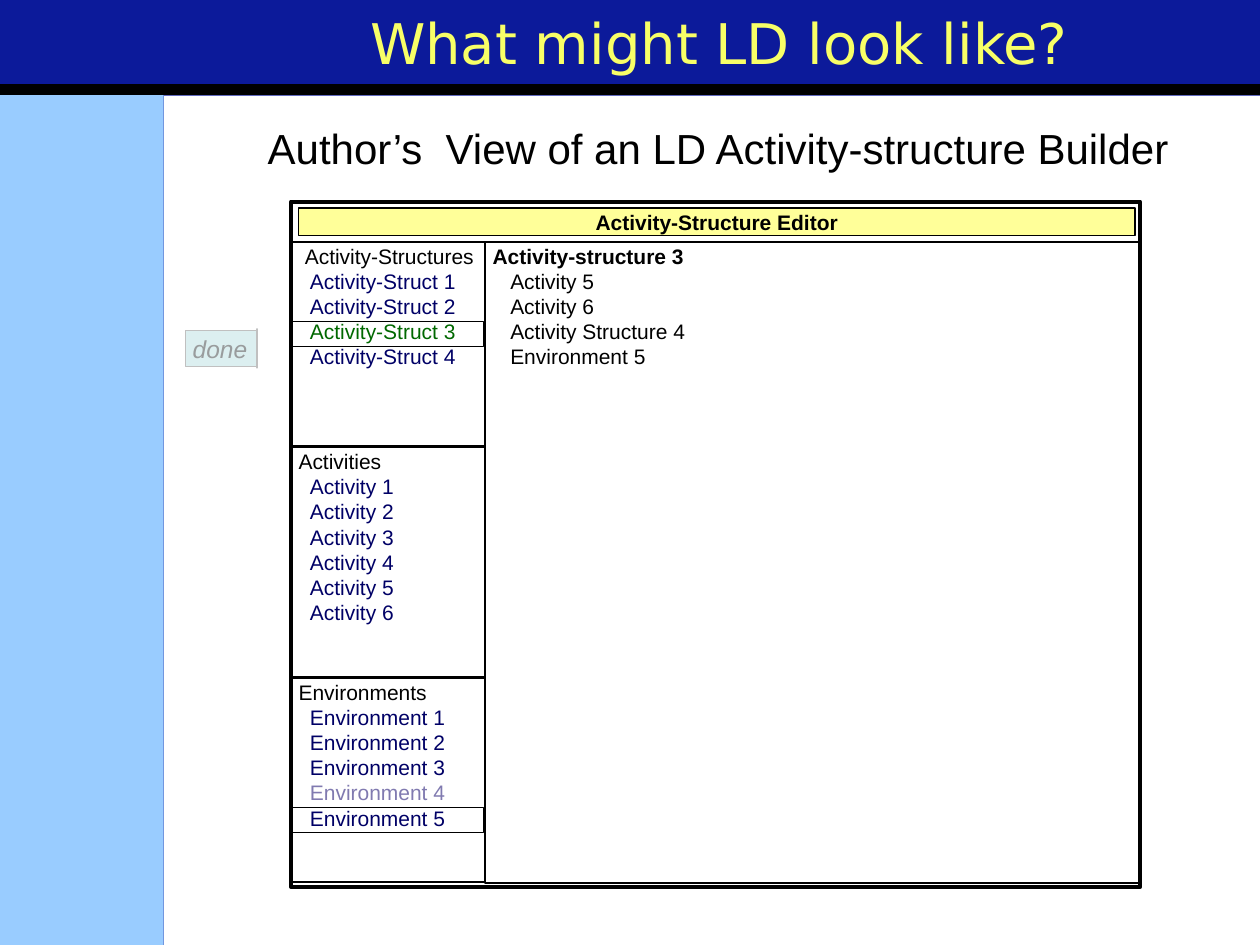
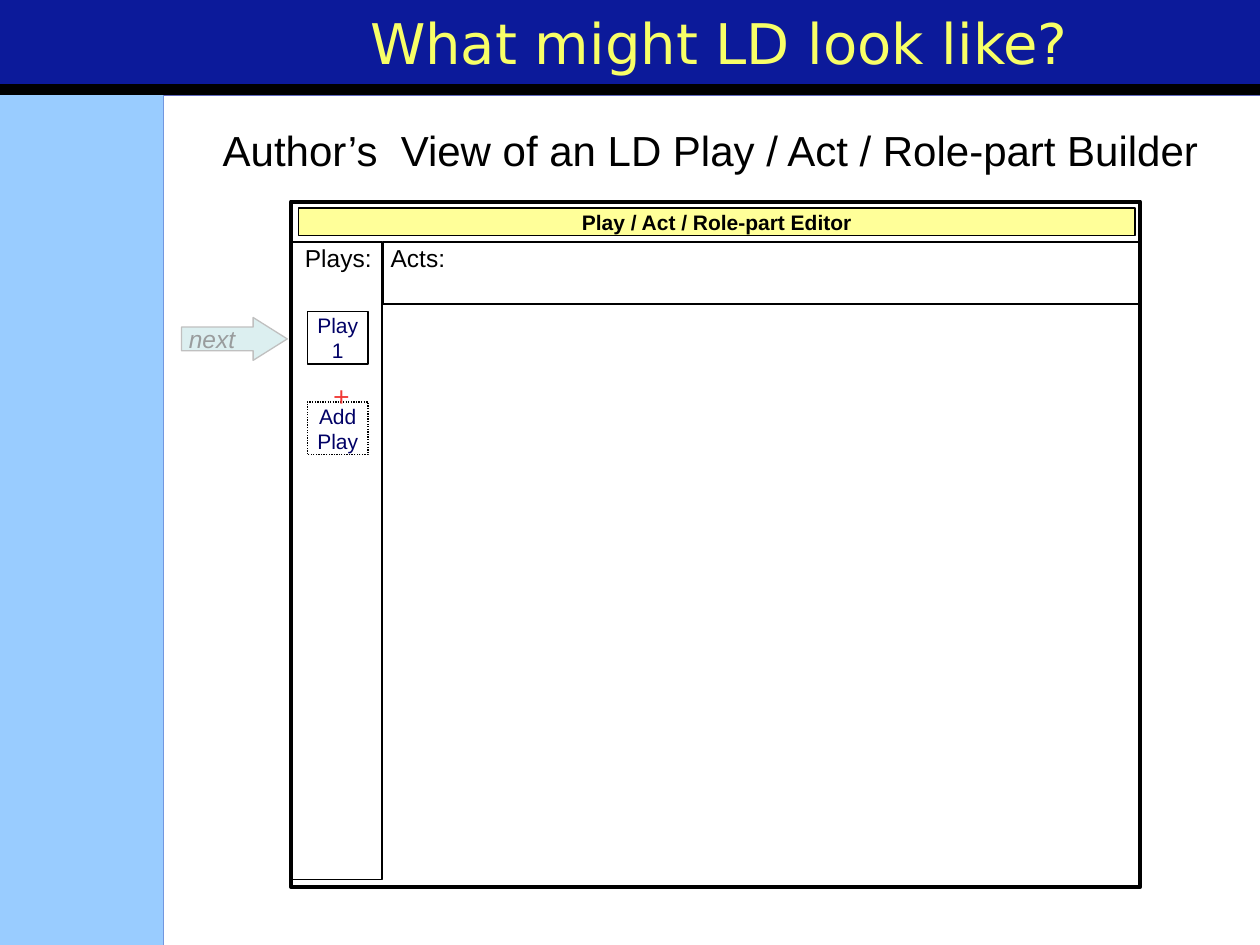
from lxml import etree
from pptx import Presentation, util as u
from pptx.dml.color import RGBColor
from pptx.enum import dml, shapes, text
from pptx.oxml import ns

BLACK, WHITE, NAVY, GREEN, LILAC = "000000", "FFFFFF", "000066", "006800", "807AB0"
BLUE, SKY, YELLOW, CREAM = "0C1A9A", "99CCFF", "F8FF67", "FFFF99"
AQUA, SILVER, GREY, RED = "BBE0E3", "C0C0C0", "999C9D", "F13935"
RECTANGLE = shapes.MSO_SHAPE.RECTANGLE
ARROW = shapes.MSO_SHAPE.RIGHT_ARROW
LEFT, CENTER = text.PP_ALIGN.LEFT, text.PP_ALIGN.CENTER
CELL_INSETS = (0.06, 0.01)


def add_box(slide, place, fill=None, line=None, width=1, kind=RECTANGLE):
    shape = slide.shapes.add_shape(kind, *map(u.Inches, place))
    shape.shadow.inherit = False
    if fill:
        shape.fill.solid()
        shape.fill.fore_color.rgb = RGBColor.from_string(fill)
    else:
        shape.fill.background()
    if line:
        shape.line.color.rgb = RGBColor.from_string(line)
        shape.line.width = u.Pt(width)
    else:
        shape.line.fill.background()
    return shape


def write(shape, lines, size=12, align=LEFT, insets=CELL_INSETS, font="Arial",
          italic=False, anchor=text.MSO_ANCHOR.TOP):
    frame = shape.text_frame
    frame.word_wrap = True
    frame.vertical_anchor = anchor
    frame.margin_left = frame.margin_right = u.Inches(insets[0])
    frame.margin_top = frame.margin_bottom = u.Inches(insets[1])
    for index, (words, color, indent, bold) in enumerate(lines):
        paragraph = frame.add_paragraph() if index else frame.paragraphs[0]
        paragraph.text = words
        paragraph.alignment = align
        if size == 12:
            paragraph.line_spacing = u.Pt(14.4)
        if indent:
            properties = paragraph._p.get_or_add_pPr()
            properties.set("marL", str(u.Inches(indent)))
            properties.set("indent", "0")
        paragraph.font.name = font
        paragraph.font.size = u.Pt(size)
        paragraph.font.bold = bold
        paragraph.font.italic = italic
        paragraph.font.color.rgb = RGBColor.from_string(color)


presentation = Presentation()
presentation.slide_width, presentation.slide_height = u.Inches(10), u.Inches(7.5)
background = presentation.slide_master.background.fill
background.solid()
background.fore_color.rgb = RGBColor.from_string(BLUE)

builders = [
    ("Author’s  View of an LD Activity-structure Builder", (2.01, 0.92, 7.38, 0.5),
     "Activity-Structure Editor",
     (1.47, 2.61, 0.57, 0.31), (0.922, 0), "done", (1.53, 2.65, 0.5, 0.23), (0, 0)),
    ("Author’s  View of an LD Play / Act / Role-part Builder", (1.28, 0.94, 8.72, 0.5),
     "Play / Act / Role-part Editor",
     (1.44, 2.52, 0.84, 0.34), (0.552, 0.796), "next", (1.4, 2.52, 0.7, 0.34), (0.1, 0.05)),
]
slides = []
for heading, heading_place, editor, arrow_place, bends, step, step_place, step_insets in builders:
    slide = presentation.slides.add_slide(presentation.slide_layouts[6])
    slides.append(slide)
    add_box(slide, (1.3, 0.76, 8.7, 6.74), WHITE)
    add_box(slide, (0, 0.75, 1.3, 6.75), SKY)
    add_box(slide, (0, 0.67, 10, 0.08), BLACK, BLACK, 0.75)
    title = slide.shapes.add_textbox(*map(u.Inches, (2, 0, 7.42, 0.67)))
    write(title, [("What might LD look like?", YELLOW, 0, False)], 32, CENTER,
          (0.1, 0.05), "DejaVu Sans", anchor=text.MSO_ANCHOR.MIDDLE)
    subtitle = slide.shapes.add_textbox(*map(u.Inches, heading_place))
    write(subtitle, [(heading, BLACK, 0, False)], 24, CENTER, (0.1, 0.05))
    add_box(slide, (2.31, 1.6, 6.74, 5.44), WHITE, BLACK, 2.25)
    editor_bar = add_box(slide, (2.37, 1.65, 6.64, 0.22), CREAM, BLACK)
    write(editor_bar, [(editor, BLACK, 0, True)], align=CENTER)
    arrow = add_box(slide, arrow_place, AQUA, SILVER, 0.75, ARROW)
    for index, bend in enumerate(bends):
        arrow.adjustments[index] = bend
    tint = arrow._element.spPr.find(ns.qn("a:solidFill"))[0]
    etree.SubElement(tint, ns.qn("a:alpha")).set("val", "50000")
    step_label = slide.shapes.add_textbox(*map(u.Inches, step_place))
    write(step_label, [(step, GREY, 0, False)], 14, insets=step_insets, italic=True)

structure_slide, play_slide = slides

panels = [
    ("Activity-Structures", 0.05, "Activity-Struct", 4, 1.92, 1.62),
    ("Activities", 0, "Activity", 6, 3.55, 1.82),
    ("Environments", 0, "Environment", 5, 5.38, 1.62),
]
special_colors = {"Activity-Struct 3": GREEN, "Environment 4": LILAC}
for heading, indent, item, count, top, height in panels:
    lines = [(heading, BLACK, indent, False)]
    for number in range(1, count + 1):
        name = f"{item} {number}"
        lines.append((name, special_colors.get(name, NAVY), 0.09, False))
    write(add_box(structure_slide, (2.31, top, 1.54, height), None, BLACK), lines)
for top in (2.55, 6.41):
    add_box(structure_slide, (2.31, top, 1.53, 0.2), None, BLACK, 0.75)

contents = ["Activity 5", "Activity 6", "Activity Structure 4", "Environment 5"]
detail = add_box(structure_slide, (3.85, 1.92, 5.2, 5.09), None, BLACK)
write(detail, [("Activity-structure 3", BLACK, 0, True)]
      + [(name, BLACK, 0.14, False) for name in contents])

acts = add_box(play_slide, (3.04, 1.92, 6.01, 0.49), None, BLACK)
write(acts, [("Acts:", BLACK, 0, False)], 14)
plays = add_box(play_slide, (2.31, 1.92, 0.72, 5.06), None, BLACK)
write(plays, [("Plays:", BLACK, 0.05, False)], 14)
for name, top, dash in (("Play 1", 2.47, None), ("Add Play", 3.19, dml.MSO_LINE.ROUND_DOT)):
    play = add_box(play_slide, (2.44, top, 0.48, 0.42), None, BLACK, 0.75)
    play.line.dash_style = dash
    write(play, [(name, NAVY, 0, False)], align=CENTER)

plus = play_slide.shapes.add_textbox(*map(u.Inches, (2.54, 2.94, 0.25, 0.22)))
write(plus, [("+", RED, 0, False)], 18, insets=(0.1, 0.05), font="Montserrat")
plus.text_frame.word_wrap = False
run_properties = plus.text_frame.paragraphs[0].runs[0]._r.get_or_add_rPr()
outline = etree.SubElement(run_properties, ns.qn("a:ln"), w=str(u.Pt(0.75)))
outline_fill = etree.SubElement(outline, ns.qn("a:solidFill"))
etree.SubElement(outline_fill, ns.qn("a:srgbClr"), val=BLACK)

presentation.save("out.pptx")
